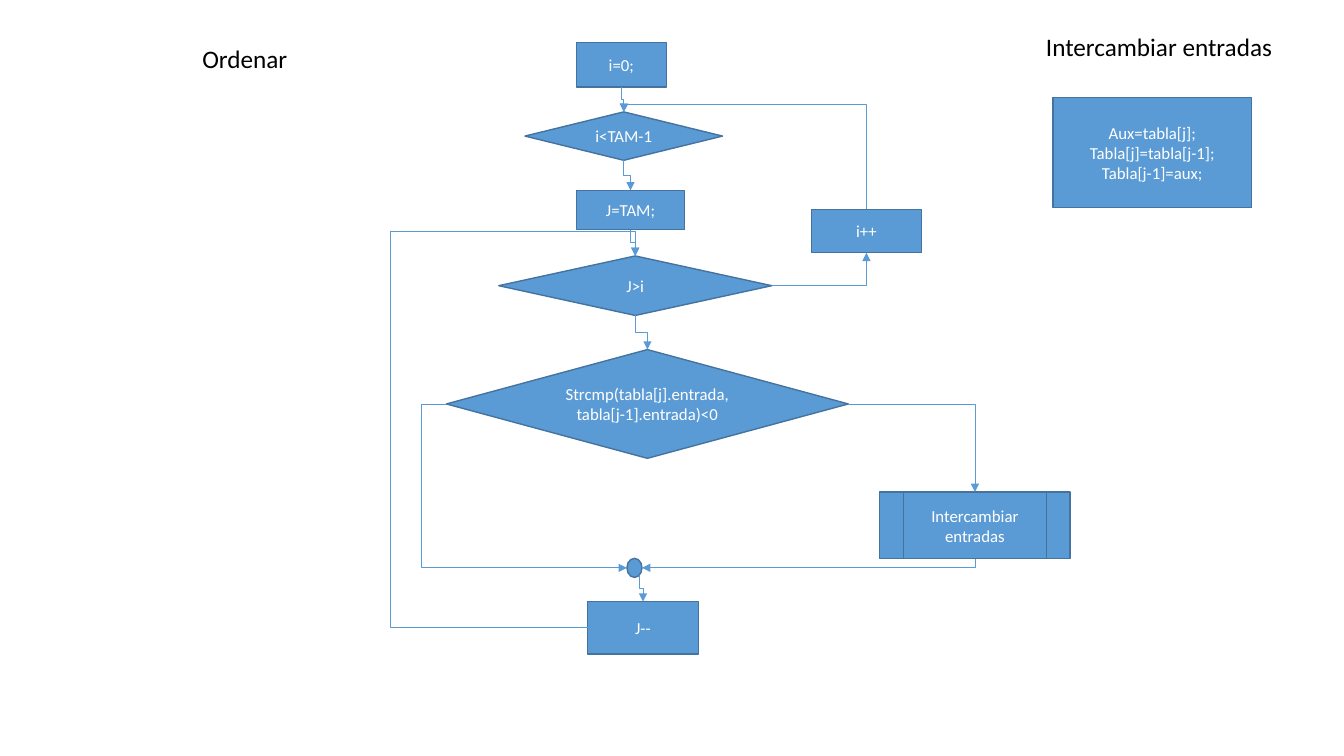
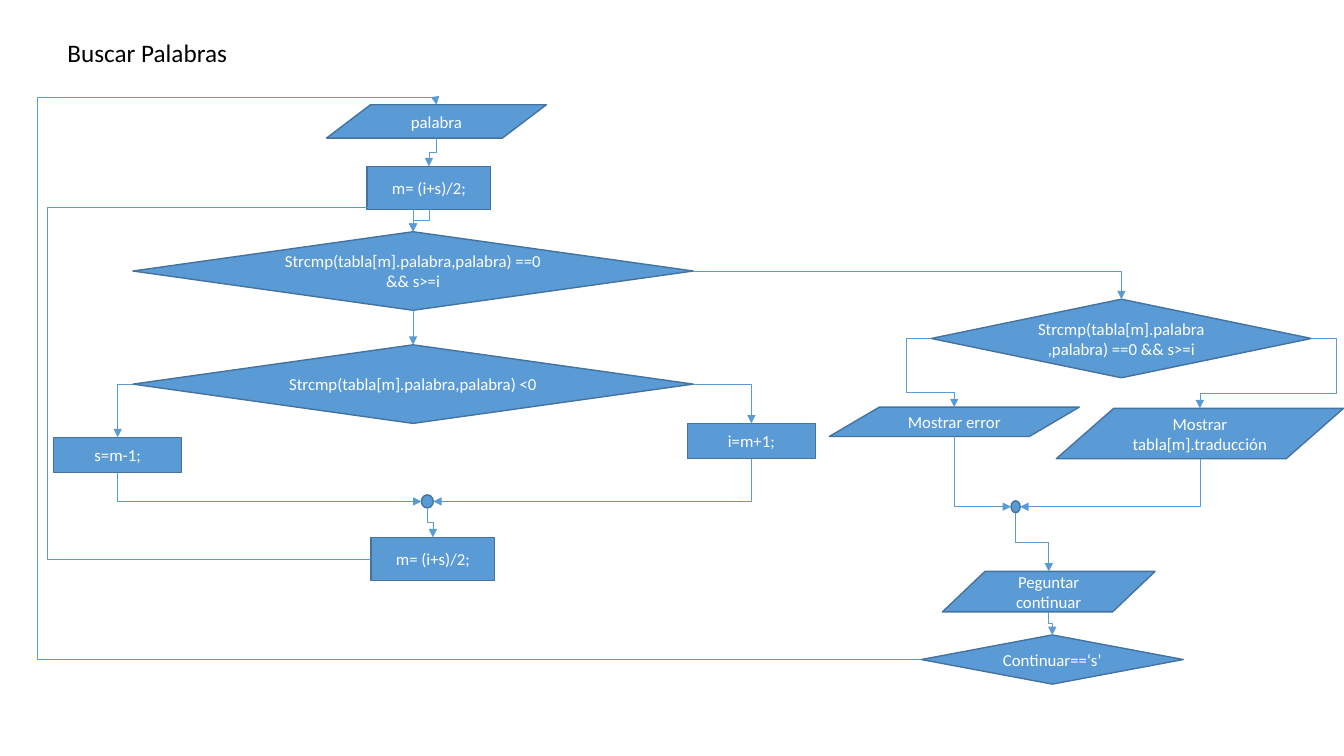
import pptx
import pptx.util
import pptx.dml.color
import pptx.enum.shapes
import pptx.enum.text
import pptx.oxml.ns
from lxml import etree

Cm, Pt = pptx.util.Cm, pptx.util.Pt
RGBColor = pptx.dml.color.RGBColor
MSO_SHAPE = pptx.enum.shapes.MSO_SHAPE
qn = pptx.oxml.ns.qn

BLUE = RGBColor(0x5B, 0x9B, 0xD5)
DARK_BLUE = RGBColor(0x43, 0x73, 0x9E)
WHITE = RGBColor(0xFF, 0xFF, 0xFF)
BLACK = RGBColor(0, 0, 0)
FONT = "Calibri"
TITLE_HEIGHT = 1.02

PRESETS = {
    "process": MSO_SHAPE.FLOWCHART_PROCESS,
    "rect": MSO_SHAPE.RECTANGLE,
    "decision": MSO_SHAPE.FLOWCHART_DECISION,
    "data": MSO_SHAPE.FLOWCHART_DATA,
    "call": MSO_SHAPE.FLOWCHART_PREDEFINED_PROCESS,
    "join": MSO_SHAPE.FLOWCHART_CONNECTOR,
}
SIDES = {"top": (0.5, 0), "left": (0, 0.5), "bottom": (0.5, 1),
         "right": (1, 0.5), "corner": (0.85, 0.85)}
BOX_SITES = {"top": 0, "left": 1, "bottom": 2, "right": 3}
SITES = {
    "data": {"top": 1, "left": 2, "bottom": 4, "right": 5},
    "join": {"top": 0, "left": 2, "bottom": 4, "corner": 5, "right": 6},
}

FOUND = "Strcmp(tabla[m].palabra,palabra) ==0 && s>=i"
MIDPOINT = "m= (i+s)/2;"

SLIDES = [
    {
        "titles": [("Ordenar", 4.85, 0.97, 2.67),
                   ("Intercambiar entradas", 26.11, 0.66, 6.27)],
        "nodes": {
            "start": ("process", "i=0;", 14.53, 1.07, 2.26, 1.12),
            "outer": ("decision", "i<TAM-1", 13.23, 2.82, 4.98, 1.22),
            "set_j": ("process", "J=TAM;", 14.53, 4.8, 2.72, 0.99),
            "inner": ("decision", "J>i", 12.57, 6.45, 6.88, 1.5),
            "compare": ("decision",
                        "Strcmp(tabla[j].entrada, tabla[j-1].entrada)<0",
                        11.25, 8.81, 10.13, 2.74),
            "swap": ("call", "Intercambiar entradas", 22.17, 12.4, 4.8, 1.68),
            "join": ("join", "", 15.8, 14.07, 0.38, 0.48),
            "dec_j": ("rect", "J--", 14.81, 15.16, 2.79, 1.32),
            "inc_i": ("rect", "i++", 20.45, 5.28, 2.77, 1.09),
            "swap_code": ("process",
                          "Aux=tabla[j];\nTabla[j]=tabla[j-1];\nTabla[j-1]=aux;",
                          26.54, 2.46, 5, 2.77),
        },
        "links": [
            ("compare", "right", "swap", "top"),
            ("start", "bottom", "outer", "top"),
            ("outer", "bottom", "set_j", "top"),
            ("set_j", "bottom", "inner", "top"),
            ("inner", "bottom", "compare", "top"),
            ("swap", "bottom", "join", "right"),
            ("compare", "left", "join", "left", 10.62),
            ("join", "corner", "dec_j", "top"),
            ("dec_j", "left", "inner", "top", 9.83, 5.82),
            ("inner", "right", "inc_i", "bottom"),
            ("inc_i", "top", "outer", "top", 2.62),
        ],
    },
    {
        "titles": [("Buscar Palabras", 1.45, 0.81, 4.57)],
        "nodes": {
            "middle": ("rect", MIDPOINT, 9.25, 4.19, 3.12, 1.09),
            "search": ("decision", FOUND, 3.35, 5.84, 14.12, 1.98),
            "word": ("data", "palabra", 8.23, 2.64, 5.54, 0.84),
            "compare": ("decision", "Strcmp(tabla[m].palabra,palabra) <0",
                        3.35, 8.69, 14.12, 1.98),
            "raise_i": ("rect", "i=m+1;", 17.32, 10.67, 3.23, 0.89),
            "lower_s": ("rect", "s=m-1;", 1.35, 11.02, 3.23, 0.89),
            "half_join": ("join", "", 10.62, 12.47, 0.3, 0.33),
            "next_middle": ("rect", MIDPOINT, 9.35, 13.54, 3.12, 1.09),
            "result": ("decision", FOUND, 23.47, 7.54, 9.58, 1.98),
            "error": ("data", "Mostrar error", 20.9, 10.26, 6.3, 0.74),
            "show": ("data", "Mostrar tabla[m].traducción",
                     26.62, 10.29, 7.24, 1.27),
            "result_join": ("join", "", 25.48, 12.62, 0.23, 0.3),
            "ask": ("data", "Peguntar continuar", 23.75, 14.4, 5.36, 1.02),
            "again": ("decision", "Continuar==‘s’", 23.22, 16, 6.6, 1.24),
        },
        "links": [
            ("word", "bottom", "middle", "top"),
            ("middle", "bottom", "search", "top"),
            ("search", "bottom", "compare", "top"),
            ("compare", "left", "lower_s", "top"),
            ("compare", "right", "raise_i", "top"),
            ("lower_s", "bottom", "half_join", "left"),
            ("raise_i", "bottom", "half_join", "right"),
            ("half_join", "bottom", "next_middle", "top"),
            ("next_middle", "left", "search", "top", 1.19, 5.21),
            ("search", "right", "result", "top"),
            ("result", "left", "error", "top", 22.83, 9.88),
            ("result", "right", "show", "top", 33.68, 9.91),
            ("error", "bottom", "result_join", "left"),
            ("show", "bottom", "result_join", "right"),
            ("result_join", "bottom", "ask", "top"),
            ("again", "left", "word", "top", 0.94, 2.46),
            ("ask", "bottom", "again", "top"),
        ],
    },
]


def format_text(tf, size, color, align):
    for p in tf.paragraphs:
        p.alignment = align
        for r in p.runs:
            r.font.name, r.font.size, r.font.color.rgb = FONT, Pt(size), color


def add_title(s, text, left, top, width):
    tf = s.shapes.add_textbox(Cm(left), Cm(top), Cm(width), Cm(TITLE_HEIGHT)).text_frame
    tf.text = text
    tf.word_wrap = False
    tf.auto_size = pptx.enum.text.MSO_AUTO_SIZE.SHAPE_TO_FIT_TEXT
    format_text(tf, 18, BLACK, pptx.enum.text.PP_ALIGN.LEFT)


def add_node(s, kind, text, *box):
    sp = s.shapes.add_shape(PRESETS[kind], *map(Cm, box))
    sp.shadow.inherit = False
    sp.fill.solid()
    sp.fill.fore_color.rgb = BLUE
    sp.line.color.rgb = DARK_BLUE
    sp.line.width = Pt(1)
    if text:
        tf = sp.text_frame
        tf.text = text
        tf.word_wrap = True
        tf.vertical_anchor = pptx.enum.text.MSO_ANCHOR.MIDDLE
        format_text(tf, 12, WHITE, pptx.enum.text.PP_ALIGN.CENTER)
    return sp


def side_point(node, side):
    left, top, width, height = node[2:]
    fx, fy = SIDES[side]
    return left + fx * width, top + fy * height


def unrotate(dx, dy, rotation):
    return {0: (dx, dy), 90: (dy, -dx), 180: (-dx, -dy), 270: (-dy, dx)}[rotation]


def add_link(s, nodes, shapes, begin, begin_side, end, end_side, *lanes):
    x1, y1 = side_point(nodes[begin], begin_side)
    x2, y2 = side_point(nodes[end], end_side)
    dx, dy = x2 - x1, y2 - y1
    flat_begin = begin_side in ("left", "right")
    flat_end = end_side in ("left", "right")
    if flat_begin == flat_end and not lanes:
        lanes = ((x1 + x2) / 2 if flat_begin else (y1 + y2) / 2,)
    down = 270 if dx > 0 else 90
    rotation = {"right": 0, "left": 180, "top": 270}.get(begin_side, down)
    run, rise = unrotate(dx, dy, rotation)
    adjusts = []
    for i, lane in enumerate(lanes):
        along_x = flat_begin == (i == 0)
        offset = (lane - x1, 0) if along_x else (0, lane - y1)
        adjusts.append(unrotate(*offset, rotation)[i] / (run, rise)[i])

    cxn = s.shapes.add_connector(pptx.enum.shapes.MSO_CONNECTOR.ELBOW, 0, 0, 0, 0)
    width, height = abs(run), abs(rise)
    cxn.left, cxn.top = Cm((x1 + x2 - width) / 2), Cm((y1 + y2 - height) / 2)
    cxn.width, cxn.height = Cm(width), Cm(height)
    sp_pr = cxn._element.spPr
    xfrm = sp_pr.find(qn("a:xfrm"))
    for name, value in (("rot", rotation * 60000), ("flipH", int(run < 0)),
                        ("flipV", int(rise < 0))):
        if value:
            xfrm.set(name, str(value))
    geometry = sp_pr.find(qn("a:prstGeom"))
    geometry.set("prst", f"bentConnector{len(lanes) + 2}")
    for child in list(geometry):
        geometry.remove(child)
    guides = etree.SubElement(geometry, qn("a:avLst"))
    for i, adjust in enumerate(adjusts, 1):
        etree.SubElement(guides, qn("a:gd"), name=f"adj{i}",
                         fmla=f"val {round(adjust * 100000)}")

    ends = cxn._element.find(".//" + qn("p:cNvCxnSpPr"))
    for tag, name, side in (("a:stCxn", begin, begin_side), ("a:endCxn", end, end_side)):
        site = SITES.get(nodes[name][0], BOX_SITES)[side]
        etree.SubElement(ends, qn(tag), id=str(shapes[name].shape_id), idx=str(site))

    cxn.line.color.rgb = BLUE
    cxn.line.width = Pt(0.5)
    etree.SubElement(sp_pr.find(qn("a:ln")), qn("a:tailEnd"), type="triangle")
    etree.SubElement(sp_pr, qn("a:effectLst"))


def main():
    prs = pptx.Presentation()
    prs.slide_width, prs.slide_height = Cm(33.87), Cm(19.05)
    for content in SLIDES:
        s = prs.slides.add_slide(prs.slide_layouts[6])
        for title in content["titles"]:
            add_title(s, *title)
        nodes = content["nodes"]
        shapes = {name: add_node(s, *node) for name, node in nodes.items()}
        for link in content["links"]:
            add_link(s, nodes, shapes, *link)
    prs.save("out.pptx")


if __name__ == "__main__":
    main()
